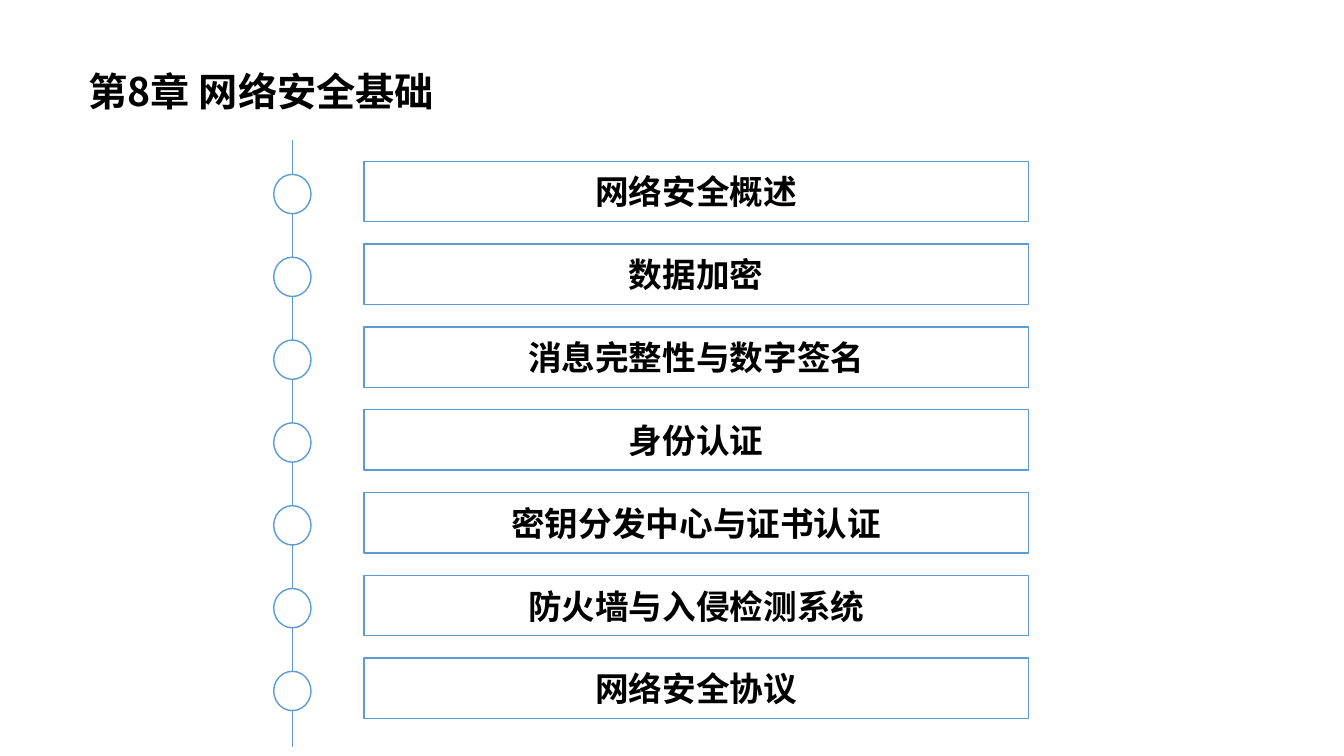
from lxml import etree
from pptx import Presentation
from pptx.dml.color import RGBColor
from pptx.enum import shapes, text
from pptx.oxml import ns
from pptx.util import Inches, Pt

TITLE = "第8章 网络安全基础"
SECTIONS = [
    "网络安全概述",
    "数据加密",
    "消息完整性与数字签名",
    "身份认证",
    "密钥分发中心与证书认证",
    "防火墙与入侵检测系统",
    "网络安全协议",
]
FONT = "Noto Sans CJK SC"
BLUE, WHITE, BLACK = "5B9BD5", "FFFFFF", "000000"

AXIS_X, AXIS_TOP, AXIS_BOTTOM = 2.9, 1.39, 7.41
BAR_LEFT, BAR_WIDTH, BAR_HEIGHT = 3.61, 6.59, 0.6
FIRST_TOP, LAST_TOP = 1.6, 6.53
DOT_WIDTH, DOT_HEIGHT = 0.37, 0.39


def color(hex_value):
    return RGBColor.from_string(hex_value)


def add_box(slide, preset, left, top, width, height, outlined=True):
    box = slide.shapes.add_shape(
        preset, Inches(left), Inches(top), Inches(width), Inches(height))
    box.shadow.inherit = False
    if outlined:
        box.fill.solid()
        box.fill.fore_color.rgb = color(WHITE)
        box.line.color.rgb = color(BLUE)
        box.line.width = Pt(1)
    else:
        box.fill.background()
        box.line.fill.background()
    return box


def write(box, words, size, alignment):
    frame = box.text_frame
    frame.text = words
    frame.word_wrap = True
    frame.vertical_anchor = text.MSO_ANCHOR.MIDDLE
    paragraph = frame.paragraphs[0]
    paragraph.alignment = alignment
    run = paragraph.runs[0]
    run.font.name = FONT
    run.font.size = Pt(size)
    run.font.bold = True
    run.font.color.rgb = color(BLACK)
    # Chinese characters take their typeface from a:ea
    east_asian = etree.SubElement(run.font._element, ns.qn("a:ea"))
    east_asian.set("typeface", FONT)


def main():
    deck = Presentation()
    deck.slide_width, deck.slide_height = Inches(13.33), Inches(7.5)
    slide = deck.slides.add_slide(deck.slide_layouts[6])

    axis = slide.shapes.add_connector(
        shapes.MSO_CONNECTOR.STRAIGHT, Inches(AXIS_X), Inches(AXIS_TOP),
        Inches(AXIS_X), Inches(AXIS_BOTTOM))
    axis.line.color.rgb = color(BLUE)
    axis.line.width = Pt(1)
    etree.SubElement(axis._element.spPr, ns.qn("a:effectLst"))

    heading = add_box(slide, shapes.MSO_SHAPE.ROUNDED_RECTANGLE,
                      0.74, 0.48, 7.9, 0.85, outlined=False)
    write(heading, TITLE, 28, text.PP_ALIGN.JUSTIFY)

    pitch = (LAST_TOP - FIRST_TOP) / (len(SECTIONS) - 1)
    for index, section in enumerate(SECTIONS):
        top = FIRST_TOP + index * pitch
        bar = add_box(slide, shapes.MSO_SHAPE.RECTANGLE,
                      BAR_LEFT, top, BAR_WIDTH, BAR_HEIGHT)
        write(bar, section, 24, text.PP_ALIGN.CENTER)
        add_box(slide, shapes.MSO_SHAPE.OVAL, AXIS_X - DOT_WIDTH / 2,
                top + 0.13, DOT_WIDTH, DOT_HEIGHT)

    deck.save("out.pptx")


if __name__ == "__main__":
    main()
